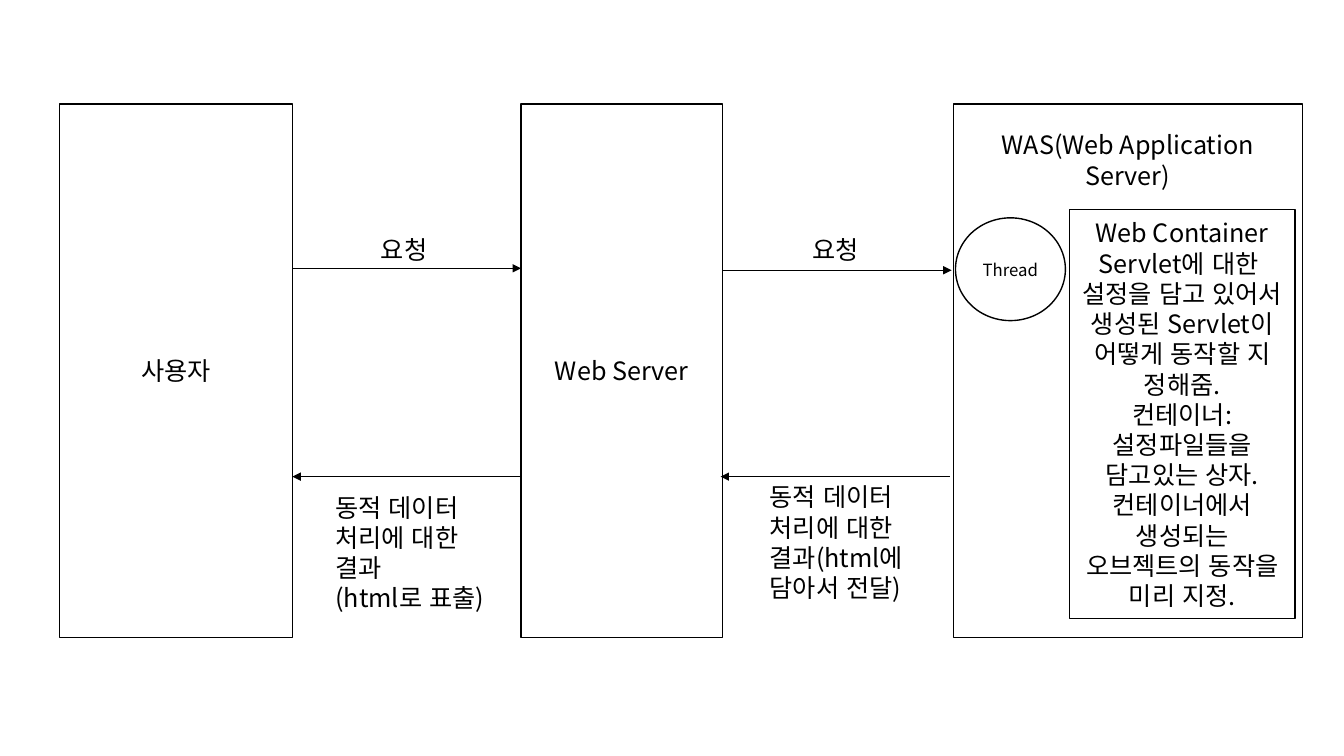
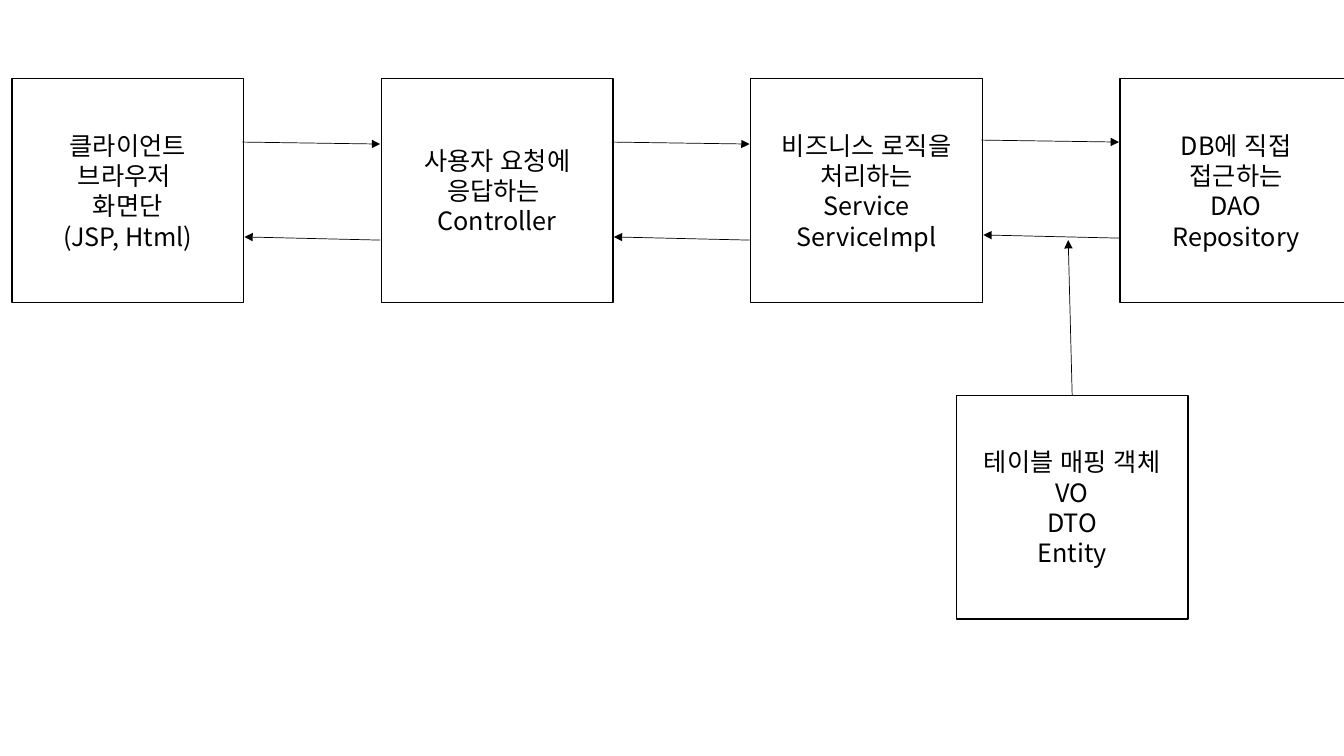
import pptx
import pptx.util
import pptx.dml.color
import pptx.enum.lang
import pptx.enum.shapes
import pptx.enum.text
import pptx.oxml.ns
import lxml.etree

Cm = pptx.util.Cm
Pt = pptx.util.Pt
SHAPE = pptx.enum.shapes.MSO_SHAPE
ANCHOR = pptx.enum.text.MSO_ANCHOR
ALIGN = pptx.enum.text.PP_ALIGN

# Shared look
BLACK = pptx.dml.color.RGBColor(0x00, 0x00, 0x00)
FONT = "Noto Sans CJK KR"
BODY_SIZE = 18

# Web request flow: content, lengths in cm
COLUMN_TOP, COLUMN_HEIGHT = 2.62, 13.44
COLUMNS = [  # text, left, width, format
    ("사용자", 1.5, 5.87, {}),
    ("Web Server", 13.13, 5.08, {}),
    ("WAS(Web Application Server)", 24.03, 8.79,
     {"anchor": ANCHOR.TOP, "inset_top": 0.65}),
]
THREAD = ("Thread", (24.08, 5.49, 2.77, 2.59))
CONTAINER = (
    "Web Container\n"
    "Servlet에 대한 \n"
    "설정을 담고 있어서 생성된 Servlet이 어떻게 동작할 지 정해줌.\n"
    "컨테이너: 설정파일들을 담고있는 상자. "
    "컨테이너에서 생성되는 오브젝트의 동작을 미리 지정.",
    (26.95, 5.28, 5.69, 10.31),
)
FLOW_ARROWS = [
    ((7.39, 6.76), (13.13, 6.76)),
    ((13.13, 12.01), (7.37, 12.01)),
    ((18.21, 6.81), (23.98, 6.81)),
    ((23.93, 12.01), (18.16, 12.01)),
]
FLOW_LABELS = [  # text, position, wrap
    ("요청", (9.35, 5.77, 1.8, 1.02), False),
    ("요청", (20.22, 5.77, 1.8, 1.02), False),
    ("동적 데이터\n처리에 대한\n결과\n(html로 표출)", (8.2, 12.27, 4.37, 3.33), True),
    ("동적 데이터\n처리에 대한\n결과(html에 \n담아서 전달)", (19.15, 12.01, 4.17, 3.33), True),
]

# Application layers: content, lengths in cm
LAYERS = [
    "클라이언트\n브라우저 \n화면단\n(JSP, Html)",
    "사용자 요청에\n응답하는 \nController",
    "비즈니스 로직을\n처리하는\nService\nServiceImpl",
    "DB에 직접\n접근하는\nDAO\nRepository",
]
MAPPING = "테이블 매핑 객체\nVO\nDTO\nEntity"
LAYER_LEFT, LAYER_TOP, LAYER_PITCH = 0.3, 1.98, 9.31
LAYER_WIDTH, LAYER_HEIGHT = 5.84, 5.64
LAYER_RAISES = [0, 0, 0.05]  # lift of each pair of arrows
MAPPING_LEFT, MAPPING_TOP = 24.1, 9.96
MAPPING_TARGET = (26.92, 6.05)


def write_text(shape, text, size=BODY_SIZE, align=ALIGN.CENTER,
               anchor=ANCHOR.MIDDLE, wrap=True, inset_top=0.13):
    frame = shape.text_frame
    frame.word_wrap = wrap
    frame.vertical_anchor = anchor
    frame.margin_top = Cm(inset_top)
    for number, line in enumerate(text.split("\n")):
        para = frame.add_paragraph() if number else frame.paragraphs[0]
        para.alignment = align
        span = para.add_run()
        span.text = line
        span.font.size = Pt(size)
        span.font.name = FONT
        span.font.color.rgb = BLACK
        span.font.language_id = pptx.enum.lang.MSO_LANGUAGE_ID.KOREAN
        east_asian = lxml.etree.SubElement(
            span._r.get_or_add_rPr(), pptx.oxml.ns.qn("a:ea"))
        east_asian.set("typeface", FONT)


def add_box(page, text, position, kind=SHAPE.RECTANGLE, **text_format):
    box = page.shapes.add_shape(kind, *map(Cm, position))
    box.shadow.inherit = False
    box.fill.background()
    box.line.color.rgb = BLACK
    box.line.width = Pt(1)
    write_text(box, text, **text_format)


def add_label(page, text, position, **text_format):
    label = page.shapes.add_textbox(*map(Cm, position))
    write_text(label, text, align=ALIGN.LEFT, anchor=ANCHOR.TOP, **text_format)


def add_arrow(page, start, end):
    arrow = page.shapes.add_connector(
        pptx.enum.shapes.MSO_CONNECTOR.STRAIGHT, *map(Cm, start + end))
    arrow.line.color.rgb = BLACK
    arrow.line.width = Pt(0.5)
    properties = arrow._element.spPr
    head = lxml.etree.SubElement(
        properties.find(pptx.oxml.ns.qn("a:ln")), pptx.oxml.ns.qn("a:tailEnd"))
    head.set("type", "triangle")
    lxml.etree.SubElement(properties, pptx.oxml.ns.qn("a:effectLst"))


def build_request_flow(page):
    for text, left, width, text_format in COLUMNS:
        add_box(page, text, (left, COLUMN_TOP, width, COLUMN_HEIGHT), **text_format)
    add_box(page, *THREAD, kind=SHAPE.OVAL, size=12)
    add_box(page, *CONTAINER)
    for start, end in FLOW_ARROWS:
        add_arrow(page, start, end)
    for text, position, wrap in FLOW_LABELS:
        add_label(page, text, position, wrap=wrap)


def build_layers(page):
    lefts = [LAYER_LEFT + LAYER_PITCH * number for number in range(len(LAYERS))]
    for text, left in zip(LAYERS, lefts):
        add_box(page, text, (left, LAYER_TOP, LAYER_WIDTH, LAYER_HEIGHT))

    # A request and a reply between each two neighbours
    for left, next_left, lift in zip(lefts, lefts[1:], LAYER_RAISES):
        right = left + LAYER_WIDTH
        add_arrow(page, (right - 0.03, 3.58 - lift), (next_left - 0.03, 3.63 - lift))
        add_arrow(page, (next_left - 0.03, 6.05 - lift), (right + 0.02, 5.97 - lift))

    # Mapping object feeding the last reply
    add_box(page, MAPPING, (MAPPING_LEFT, MAPPING_TOP, LAYER_WIDTH, LAYER_HEIGHT))
    add_arrow(page, (MAPPING_LEFT + LAYER_WIDTH / 2, MAPPING_TOP), MAPPING_TARGET)


deck = pptx.Presentation()
deck.slide_width, deck.slide_height = Cm(33.87), Cm(19.05)
blank_layout = deck.slide_layouts.get_by_name("Blank")
for build in (build_request_flow, build_layers):
    build(deck.slides.add_slide(blank_layout))
deck.save("out.pptx")
